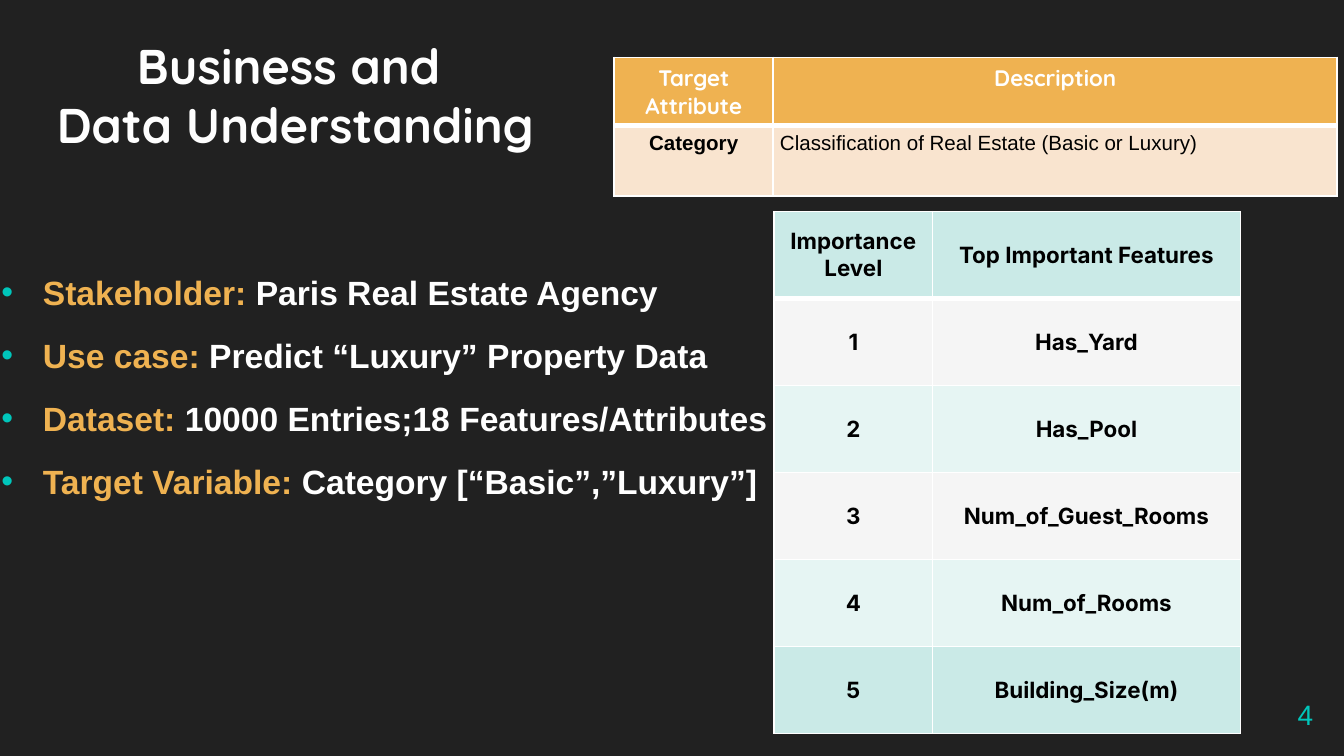
import pptx
import pptx.util
import pptx.dml.color
import pptx.enum.text
import pptx.oxml
import pptx.oxml.ns
from lxml import etree

COLORS = {
    "background": "212121", "title": "FEFEFE", "white": "FFFFFF", "black": "000000",
    "amber": "EFB251", "cream": "F9E4CF", "teal": "00C6BB",
    "mint": "CAEAE7", "pale mint": "E6F5F3", "gray": "F5F5F5",
}
ALIGN = pptx.enum.text.PP_ALIGN
ANCHOR = pptx.enum.text.MSO_ANCHOR
WIDTH = pptx.util.Inches(10)
HEIGHT = pptx.util.Inches(5.625)
NAMESPACE = pptx.oxml.ns.nsdecls("a")


def rgb(name):
    return pptx.dml.color.RGBColor.from_string(COLORS[name])


def place(left, top, width, height):
    return (int(WIDTH * left / 100), int(HEIGHT * top / 100),
            int(WIDTH * width / 100), int(HEIGHT * height / 100))


def add_run(paragraph, text, font="Arial", size=18, color="white", bold=True, align=None):
    if align is not None:
        paragraph.alignment = align
    run = paragraph.add_run()
    run.text = text
    run.font.name = font
    run.font.size = pptx.util.Pt(size)
    run.font.bold = bold
    run.font.color.rgb = rgb(color)
    return run


def set_margins(target, inches):
    for side in ("left", "top", "right", "bottom"):
        setattr(target, f"margin_{side}", pptx.util.Inches(inches))


def add_frame(slide, box, margin=0.1, wrap=True, anchor=ANCHOR.TOP):
    frame = slide.shapes.add_textbox(*box).text_frame
    frame.word_wrap = wrap
    frame.vertical_anchor = anchor
    set_margins(frame, margin)
    return frame


def add_title(slide, box, lines):
    paragraph = add_frame(slide, box).paragraphs[0]
    for index, line in enumerate(lines):
        if index:
            paragraph.add_line_break()
        run = add_run(paragraph, line, font="Quicksand", size=26.1, color="title", align=ALIGN.CENTER)
        fill = run.font.fill._xPr.find(pptx.oxml.ns.qn("a:solidFill"))
        fill.addnext(pptx.oxml.parse_xml(
            f'<a:effectLst {NAMESPACE}><a:outerShdw blurRad="38100" dist="38100" dir="2700000" algn="tl">'
            '<a:srgbClr val="000000"><a:alpha val="43000"/></a:srgbClr></a:outerShdw></a:effectLst>'))


def add_facts(slide, box, facts):
    frame = add_frame(slide, box, margin=0.05)
    indent = pptx.util.Inches(0.31)
    for index, (label, value) in enumerate(facts):
        paragraph = frame.add_paragraph() if index else frame.paragraphs[0]
        paragraph.line_spacing = 1.5
        paragraph.space_after = pptx.util.Pt(1.3)
        properties = paragraph._p.get_or_add_pPr()
        properties.set("marL", str(indent))
        properties.set("indent", str(-indent))
        color = etree.SubElement(properties, pptx.oxml.ns.qn("a:buClr"))
        etree.SubElement(color, pptx.oxml.ns.qn("a:srgbClr"), val=COLORS["teal"])
        etree.SubElement(properties, pptx.oxml.ns.qn("a:buFont"), typeface="Arial")
        etree.SubElement(properties, pptx.oxml.ns.qn("a:buChar"), char="•")
        add_run(paragraph, label + " ", color="amber")
        add_run(paragraph, value)


def set_borders(cell, row):
    properties = cell._tc.get_or_add_tcPr()
    weights = {"L": 1, "R": 1, "T": 3 if row == 1 else 1, "B": 3 if row == 0 else 1}
    for side, weight in weights.items():
        properties.append(pptx.oxml.parse_xml(
            f'<a:ln{side} {NAMESPACE} w="{pptx.util.Pt(weight)}"><a:solidFill>'
            f'<a:srgbClr val="{COLORS["white"]}"/></a:solidFill></a:ln{side}>'))


def add_grid(slide, box, rows, columns, heights, fills, style, margin, anchor):
    table = slide.shapes.add_table(len(rows), len(columns), *box).table
    table.first_row = table.horz_banding = False
    for column, share in zip(table.columns, columns):
        column.width = int(box[2] * share / sum(columns))
    for row_index, values in enumerate(rows):
        table.rows[row_index].height = int(box[3] * heights[row_index] / sum(heights))
        for column_index, value in enumerate(values):
            cell = table.cell(row_index, column_index)
            set_borders(cell, row_index)
            cell.fill.solid()
            cell.fill.fore_color.rgb = rgb(fills[row_index])
            cell.vertical_anchor = anchor
            set_margins(cell, margin)
            add_run(cell.text_frame.paragraphs[0], value, **style(row_index, column_index))


def target_style(row, column):
    if row == 0:
        return dict(font="Quicksand", size=12, align=ALIGN.CENTER)
    return dict(size=11, color="black", bold=column == 0,
                align=ALIGN.LEFT if column else ALIGN.CENTER)


def feature_style(row, column):
    return dict(font="Inter", size=12, color="black", align=ALIGN.CENTER)


def add_target_table(slide, box):
    rows = [("Target Attribute", "Description"),
            ("Category", "Classification of Real Estate (Basic or Luxury)")]
    add_grid(slide, box, rows, (22, 78), (49, 51), ("amber", "cream"), target_style, 0.05, ANCHOR.TOP)


def add_feature_table(slide, box):
    features = ("Has_Yard", "Has_Pool", "Num_of_Guest_Rooms", "Num_of_Rooms", "Building_Size(m)")
    rows = [("Importance Level", "Top Important Features")]
    rows += [(str(level), feature) for level, feature in enumerate(features, 1)]
    fills = ("mint", "gray", "pale mint", "gray", "pale mint", "mint")
    add_grid(slide, box, rows, (34, 66), (1,) * len(rows), fills, feature_style, 0.08, ANCHOR.MIDDLE)


def add_page_number(slide, box, number):
    frame = add_frame(slide, box, wrap=False, anchor=ANCHOR.MIDDLE)
    add_run(frame.paragraphs[0], number, size=15, color="teal", bold=False, align=ALIGN.RIGHT)


def add_understanding_slide(presentation):
    slide = presentation.slides.add_slide(presentation.slide_layouts[6])
    slide.background.fill.solid()
    slide.background.fill.fore_color.rgb = rgb("background")
    add_title(slide, place(-24.6, 3, 93.2, 19.4), ("Business and ", "Data Understanding"))
    add_facts(slide, place(-0.4, 32.4, 59, 33), [
        ("Stakeholder:", "Paris Real Estate Agency"),
        ("Use case:", "Predict “Luxury” Property Data"),
        ("Dataset:", "10000 Entries;18 Features/Attributes"),
        ("Target Variable:", "Category [“Basic”,”Luxury”]"),
    ])
    add_target_table(slide, place(45.7, 7.6, 53.8, 18.3))
    add_page_number(slide, place(95.4, 90.7, 3.3, 7.6), "4")
    add_feature_table(slide, place(57.6, 28, 34.7, 69))


presentation = pptx.Presentation()
presentation.slide_width = WIDTH
presentation.slide_height = HEIGHT
add_understanding_slide(presentation)
presentation.save("out.pptx")
